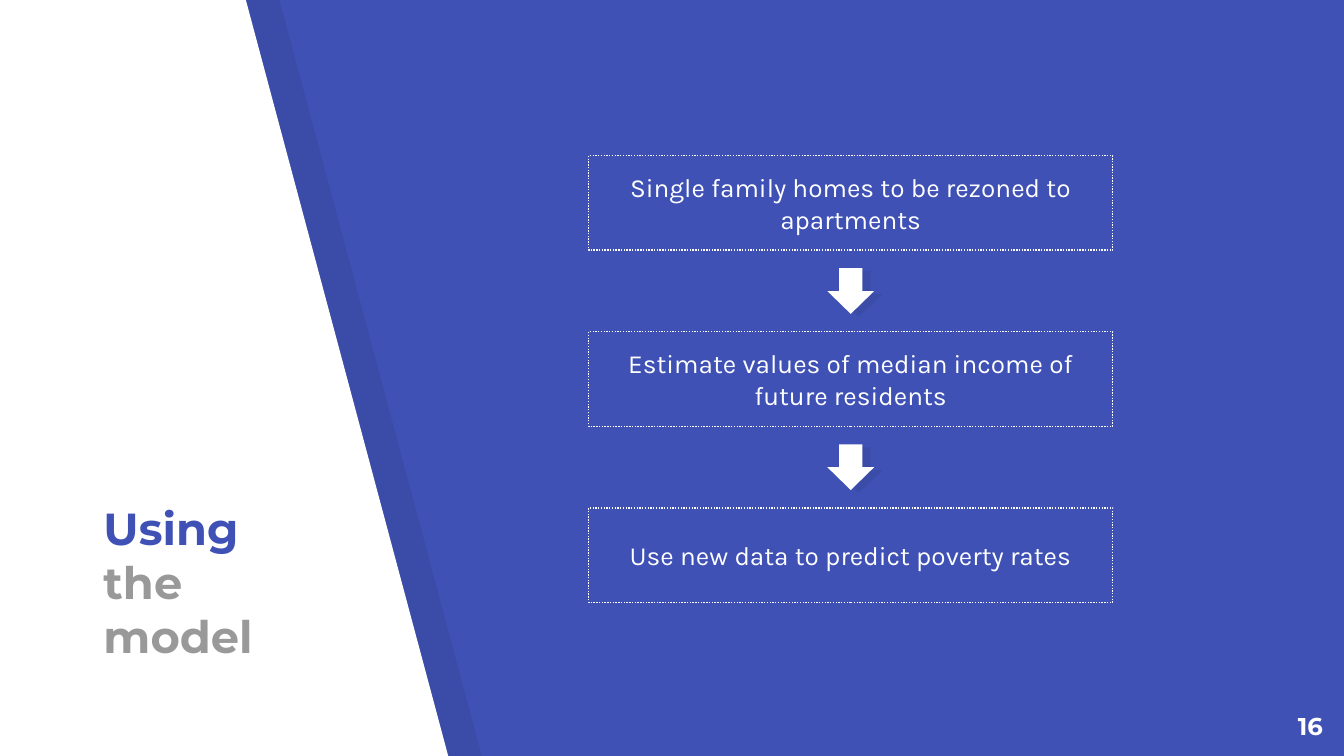
import dataclasses
import typing

import pptx
import pptx.dml.color
import pptx.enum.dml
import pptx.enum.shapes
import pptx.enum.text
import pptx.oxml.ns
import pptx.util
from lxml import etree

SHAPE = pptx.enum.shapes.MSO_SHAPE
ALIGN = pptx.enum.text.PP_ALIGN
ANCHOR = pptx.enum.text.MSO_ANCHOR


@dataclasses.dataclass(frozen=True)
class Theme:
    blue: str = "3F51B5"
    white: str = "FFFFFF"
    gray: str = "999999"
    shade: str = "000000"
    alpha: int = 7  # percent
    head: str = "Montserrat"
    body: str = "Karla"
    big: float = 24
    mid: float = 14
    small: float = 13
    line: float = 0.75


class Box(typing.NamedTuple):
    """Place and size in grid columns and rows."""
    x: float
    y: float
    w: float
    h: float


class Run(typing.NamedTuple):
    text: str
    color: str


THEME = Theme()

# Grid: 100 columns by 100 rows
WIDE, HIGH = pptx.util.Inches(10), pptx.util.Inches(5.625)
COL, ROW = WIDE / 100, HIGH / 100

STEPS = (
    "Single family homes to be rezoned to apartments",
    "Estimate values of median income of future residents",
    "Use new data to predict poverty rates",
)
FIRST = Box(43.8, 20.6, 39, 12.5)
PITCH = 23.3
EDGE = ((-0.2, -0.2), (-0.2, 100.3), (33.4, 100.3), (18.3, 0))


def rgb(code: str) -> pptx.dml.color.RGBColor:
    return pptx.dml.color.RGBColor.from_string(code)


def emu(box: Box) -> tuple:
    return (round(box.x * COL), round(box.y * ROW),
            round(box.w * COL), round(box.h * ROW))


def paint(shape, color: str, alpha: int = 100) -> None:
    """Fill a shape with one colour, without line or shadow."""
    shape.shadow.inherit = False
    shape.line.fill.background()
    shape.fill.solid()
    shape.fill.fore_color.rgb = rgb(color)
    if alpha < 100:
        tag = pptx.oxml.ns.qn("a:srgbClr")
        tint = next(shape.element.spPr.iter(tag))
        etree.SubElement(tint, pptx.oxml.ns.qn("a:alpha"),
                         val=str(alpha * 1000))


def write(shape, *runs: Run, font: str, size: float, bold: bool = False,
          align=ALIGN.LEFT, anchor=ANCHOR.TOP) -> None:
    frame = shape.text_frame
    frame.word_wrap = True
    frame.auto_size = pptx.enum.text.MSO_AUTO_SIZE.NONE
    frame.vertical_anchor = anchor
    frame.margin_left = frame.margin_right = pptx.util.Inches(0.1)
    frame.margin_top = frame.margin_bottom = pptx.util.Inches(0.1)
    para = frame.paragraphs[0]
    para.alignment = align
    para.space_before = pptx.util.Pt(0)
    for item in runs:
        run = para.add_run()
        run.text = item.text
        run.font.name = font
        run.font.size = pptx.util.Pt(size)
        run.font.bold = bold
        run.font.color.rgb = rgb(item.color)


def band(shapes, shift: float, color: str, alpha: int = 100) -> None:
    dots = [(round((x + shift) * COL), round(y * ROW)) for x, y in EDGE]
    pen = shapes.build_freeform(*dots[0])
    pen.add_line_segments(dots[1:])
    paint(pen.convert_to_shape(), color, alpha)


def step(shapes, box: Box, text: str) -> None:
    rect = shapes.add_shape(SHAPE.RECTANGLE, *emu(box))
    rect.shadow.inherit = False
    rect.fill.background()
    rect.line.color.rgb = rgb(THEME.white)
    rect.line.width = pptx.util.Pt(THEME.line)
    rect.line.dash_style = pptx.enum.dml.MSO_LINE.ROUND_DOT
    write(rect, Run(text, THEME.white), font=THEME.body, size=THEME.mid,
          align=ALIGN.CENTER, anchor=ANCHOR.MIDDLE)


def arrow(shapes, x: float, y: float) -> None:
    """A white arrow centred on x, y over its soft shade, in one group."""
    group = shapes.add_group_shape()
    w, h = 3.4, 6.2
    for dx, dy, color, alpha in ((0.6, 0.4, THEME.shade, THEME.alpha),
                                 (0, 0, THEME.white, 100)):
        box = Box(x - w / 2 + dx, y - h / 2 + dy, w, h)
        part = group.shapes.add_shape(SHAPE.RIGHT_ARROW, *emu(box))
        part.rotation = 90
        paint(part, color, alpha)


def main() -> None:
    deck = pptx.Presentation()
    deck.slide_width, deck.slide_height = WIDE, HIGH
    slide = deck.slides.add_slide(deck.slide_layouts[5])
    shapes = slide.shapes
    slide.background.fill.solid()
    slide.background.fill.fore_color.rgb = rgb(THEME.blue)

    # Slanted side panel with its shade
    band(shapes, 2.5, THEME.shade, THEME.alpha)
    band(shapes, 0, THEME.white)

    # Title, raised above the panel
    title = shapes.title
    title.left, title.top, title.width, title.height = emu(
        Box(6.7, 80, 17.6, 9.4))
    write(title, Run("Using", THEME.blue), Run(" the model", THEME.gray),
          font=THEME.head, size=THEME.big, bold=True, anchor=ANCHOR.BOTTOM)
    title.element.getparent().append(title.element)

    # Steps, with an arrow in the middle of each gap
    for i, text in enumerate(STEPS):
        box = FIRST._replace(y=FIRST.y + i * PITCH)
        step(shapes, box, text)
        if i < len(STEPS) - 1:
            arrow(shapes, box.x + box.w / 2, box.y + (box.h + PITCH) / 2)

    # Page number
    page = shapes.add_textbox(*emu(Box(93.4, 92.3, 6, 7.7)))
    write(page, Run("16", THEME.white), font=THEME.head, size=THEME.small,
          bold=True, align=ALIGN.RIGHT)

    deck.save("out.pptx")


if __name__ == "__main__":
    main()
